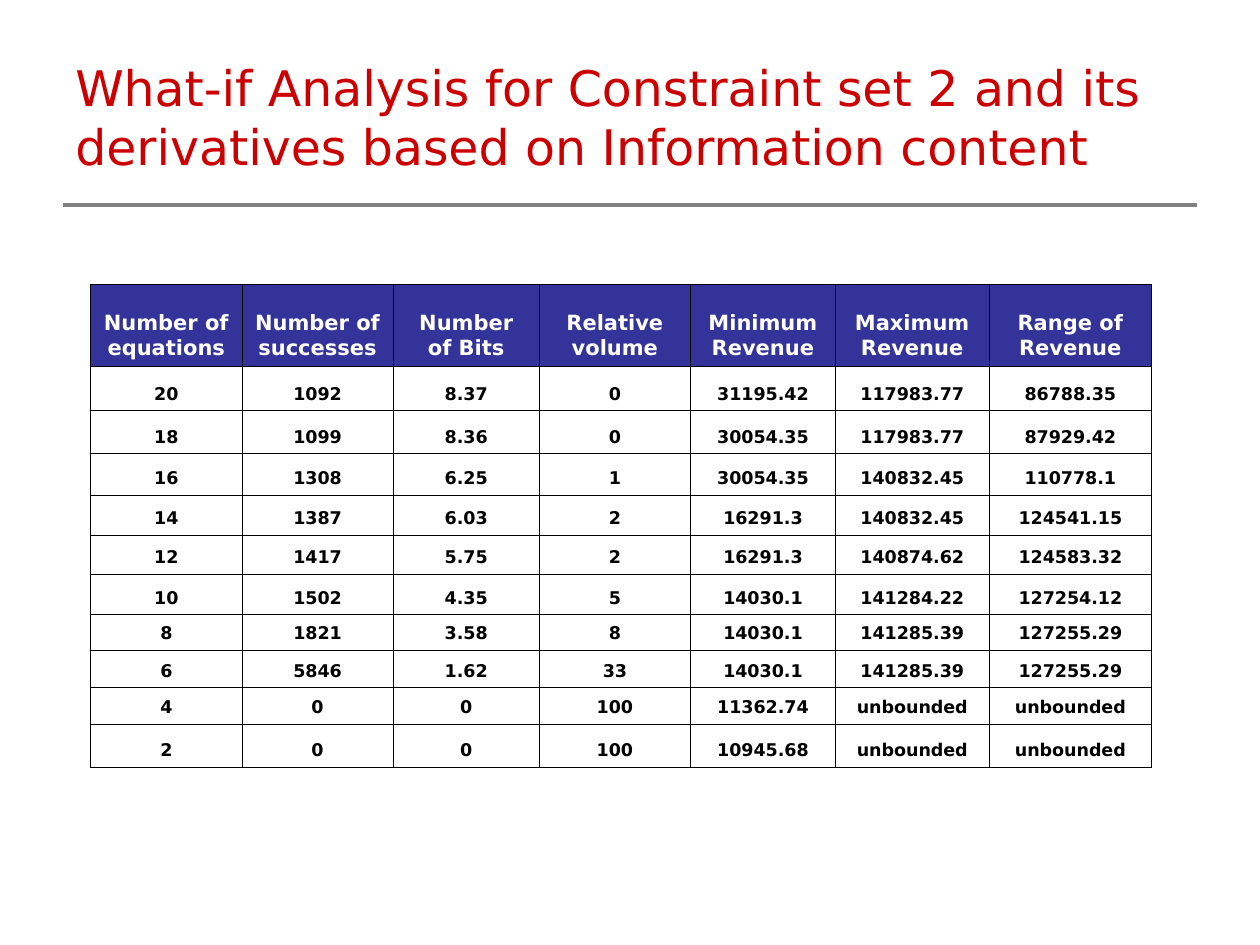
from lxml.etree import SubElement
from pptx import Presentation
from pptx.dml.color import RGBColor
from pptx.enum.shapes import MSO_CONNECTOR
from pptx.enum.text import MSO_ANCHOR, PP_ALIGN
from pptx.oxml.ns import qn
from pptx.util import Inches, Pt

FONT = "DejaVu Sans"
RED = RGBColor(0xCC, 0x00, 0x00)
GRAY = RGBColor(0x80, 0x80, 0x80)
NAVY = RGBColor(0x33, 0x33, 0x99)
WHITE = RGBColor(0xFF, 0xFF, 0xFF)
BLACK = RGBColor(0x00, 0x00, 0x00)

TITLE = ("What-if Analysis for Constraint set 2 and its derivatives "
         "based on Information content")
COL_WIDTHS = [1.2, 1.2, 1.16, 1.2, 1.15, 1.22, 1.29]
ROW_HEIGHTS = [0.65, 0.35, 0.34, 0.33, 0.32, 0.31, 0.32, 0.28, 0.3, 0.29, 0.34]
ROWS = [
    ["Number of equations", "Number of successes", "Number of Bits",
     "Relative volume", "Minimum Revenue", "Maximum Revenue", "Range of Revenue"],
    ["20", "1092", "8.37", "0", "31195.42", "117983.77", "86788.35"],
    ["18", "1099", "8.36", "0", "30054.35", "117983.77", "87929.42"],
    ["16", "1308", "6.25", "1", "30054.35", "140832.45", "110778.1"],
    ["14", "1387", "6.03", "2", "16291.3", "140832.45", "124541.15"],
    ["12", "1417", "5.75", "2", "16291.3", "140874.62", "124583.32"],
    ["10", "1502", "4.35", "5", "14030.1", "141284.22", "127254.12"],
    ["8", "1821", "3.58", "8", "14030.1", "141285.39", "127255.29"],
    ["6", "5846", "1.62", "33", "14030.1", "141285.39", "127255.29"],
    ["4", "0", "0", "100", "11362.74", "unbounded", "unbounded"],
    ["2", "0", "0", "100", "10945.68", "unbounded", "unbounded"],
]


def set_text(tf, text, size, color, bold=False, align=PP_ALIGN.LEFT):
    tf.text = text
    tf.word_wrap = True
    p = tf.paragraphs[0]
    p.alignment = align
    font = p.runs[0].font
    font.name, font.size, font.bold = FONT, Pt(size), bold
    font.color.rgb = color


def add_title(s):
    sp = s.shapes.add_textbox(Inches(0.5), Inches(0.3), Inches(9), Inches(1.25))
    set_text(sp.text_frame, TITLE, 28, RED)
    sp.text_frame.vertical_anchor = MSO_ANCHOR.MIDDLE


def add_rule(s):
    """Draw the gray line under the title."""
    y = Inches(1.63)
    line = s.shapes.add_connector(MSO_CONNECTOR.STRAIGHT, Inches(0.5), y, Inches(9.5), y)
    line.line.color.rgb = GRAY
    line.line.width = Pt(2.25)
    SubElement(line._element.spPr, qn("a:effectLst"))


def set_borders(cell):
    """Put a thin black line on all four sides; call before filling the cell."""
    tc_pr = cell._tc.get_or_add_tcPr()
    for side in ("a:lnL", "a:lnR", "a:lnT", "a:lnB"):
        ln = SubElement(tc_pr, qn(side), w=str(Pt(0.45)))
        fill = SubElement(ln, qn("a:solidFill"))
        SubElement(fill, qn("a:srgbClr"), val=str(BLACK))


def format_cell(cell, text, is_header):
    set_borders(cell)
    if is_header:
        cell.fill.solid()
        cell.fill.fore_color.rgb = NAVY
    else:
        cell.fill.background()
    cell.vertical_anchor = MSO_ANCHOR.BOTTOM
    size, color = (12, WHITE) if is_header else (10, BLACK)
    set_text(cell.text_frame, text, size, color, bold=True, align=PP_ALIGN.CENTER)


def add_results_table(s):
    frame = s.shapes.add_table(len(ROWS), len(COL_WIDTHS), Inches(0.72), Inches(2.26),
                               Inches(sum(COL_WIDTHS)), Inches(sum(ROW_HEIGHTS)))
    table = frame.table
    table.horz_banding = False
    for column, width in zip(table.columns, COL_WIDTHS):
        column.width = Inches(width)
    for i, (row, height) in enumerate(zip(table.rows, ROW_HEIGHTS)):
        row.height = Inches(height)
        for cell, text in zip(row.cells, ROWS[i]):
            format_cell(cell, text, is_header=i == 0)


def main():
    prs = Presentation()
    prs.slide_width, prs.slide_height = Inches(10), Inches(7.5)
    s = prs.slides.add_slide(prs.slide_layouts[6])
    add_rule(s)
    add_title(s)
    add_results_table(s)
    prs.save("out.pptx")


if __name__ == "__main__":
    main()
